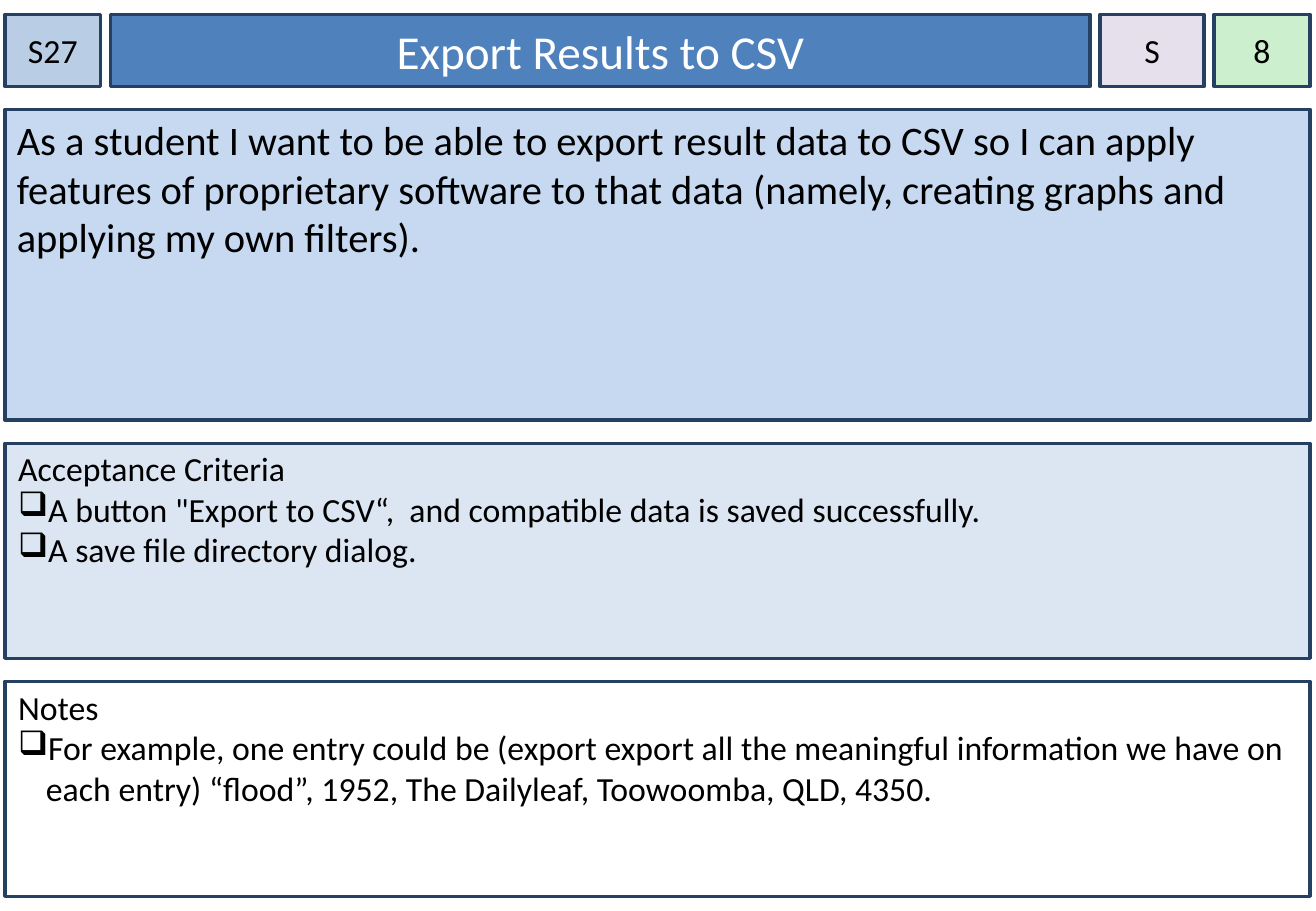
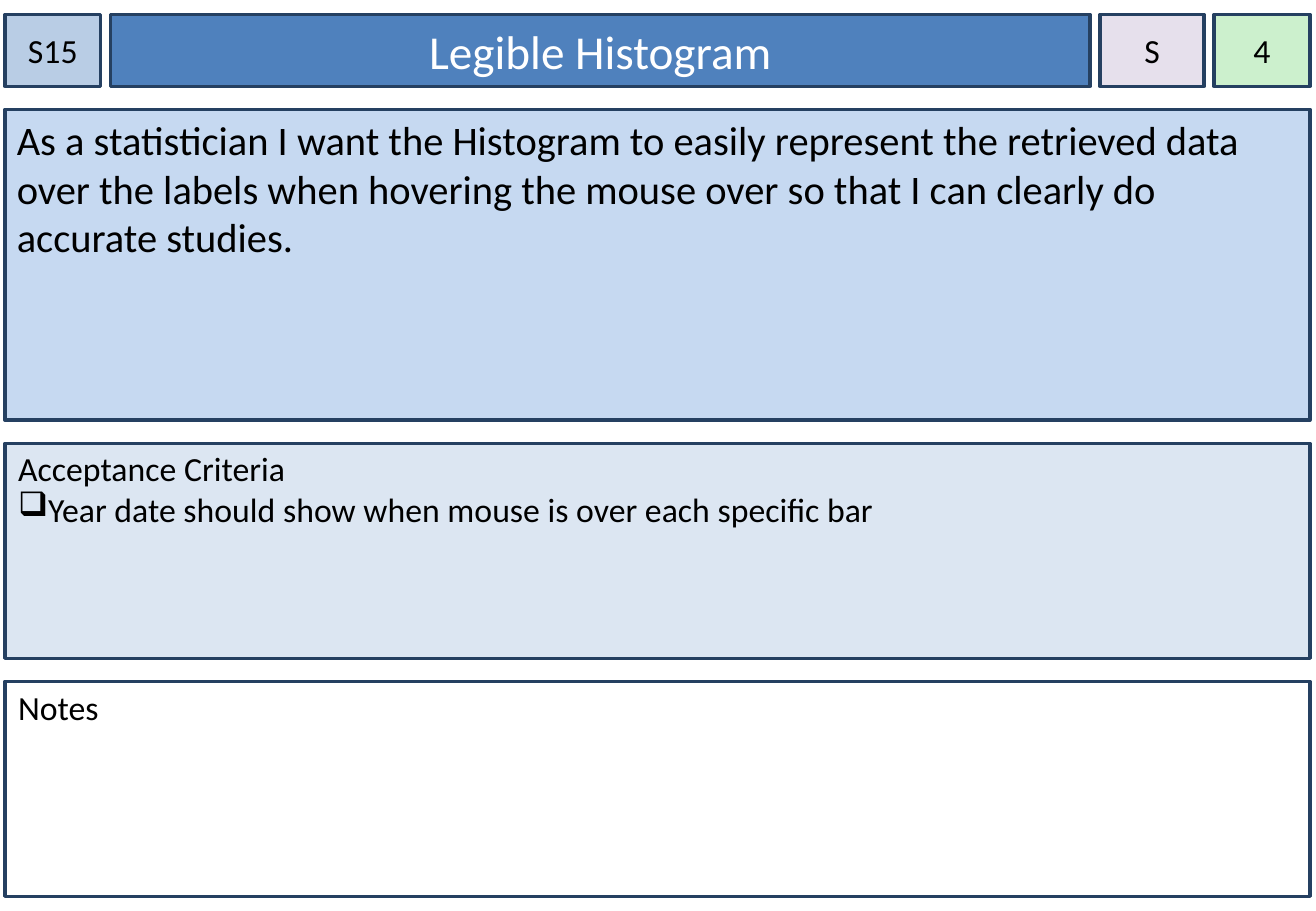
from lxml import etree
from pptx import Presentation
from pptx.dml.color import RGBColor
from pptx.enum.shapes import MSO_SHAPE
from pptx.enum.text import MSO_ANCHOR, PP_ALIGN
from pptx.oxml.ns import qn
from pptx.util import Inches, Pt

BLACK = RGBColor(0x00, 0x00, 0x00)
WHITE = RGBColor(0xFF, 0xFF, 0xFF)
NAVY = RGBColor(0x25, 0x40, 0x61)
BLUE = RGBColor(0x4F, 0x81, 0xBD)
STEEL = RGBColor(0xB9, 0xCD, 0xE5)
SKY = RGBColor(0xC6, 0xD9, 0xF1)
PALE = RGBColor(0xDC, 0xE6, 0xF2)
LILAC = RGBColor(0xE6, 0xE0, 0xEC)
MINT = RGBColor(0xCC, 0xF0, 0xCD)

# All measures in inches
LEFT, TOP = 0.04, 0.12
CARD_WIDTH = 10.75
COLUMN_GAP, ROW_GAP = 0.08, 0.19
HEADER_HEIGHT, STORY_HEIGHT, LIST_HEIGHT = 0.59, 2.56, 1.77

CARDS = [
    {
        "number": "S27",
        "title": "Export Results to CSV",
        "size": "S",
        "points": "8",
        "story": "As a student I want to be able to export result data to CSV so I can "
                 "apply features of proprietary software to that data (namely, creating "
                 "graphs and applying my own filters).",
        "criteria": [
            'A button "Export to CSV“,  and compatible data is saved successfully.',
            "A save file directory dialog.",
        ],
        "notes": [
            "For example, one entry could be (export export all the meaningful "
            "information we have on each entry) “flood”, 1952, The Dailyleaf, "
            "Toowoomba, QLD, 4350.",
        ],
    },
    {
        "number": "S15",
        "title": "Legible Histogram",
        "size": "S",
        "points": "4",
        "story": "As a statistician I want the Histogram to easily represent the "
                 "retrieved data over the labels when hovering the mouse over so that "
                 "I can clearly do accurate studies.",
        "criteria": ["Year date should show when mouse is over each specific bar"],
        "notes": [],
    },
]


class StoryDeck:
    font_name = "Calibri"

    def __init__(self):
        self.deck = Presentation()
        self.deck.slide_width = Inches(10.84)
        self.deck.slide_height = Inches(7.5)
        self.page = None

    def add_page(self):
        self.page = self.deck.slides.add_slide(self.deck.slide_layouts[6])

    def panel(self, left, top, width, height, fill, anchor, side_inset=0.1, top_inset=0.05):
        """Add an outlined rectangle and return its text frame."""
        box = self.page.shapes.add_shape(
            MSO_SHAPE.RECTANGLE, Inches(left), Inches(top), Inches(width), Inches(height))
        box.shadow.inherit = False
        box.fill.solid()
        box.fill.fore_color.rgb = fill
        box.line.color.rgb = NAVY
        box.line.width = Pt(2)
        frame = box.text_frame
        frame.word_wrap = True
        frame.vertical_anchor = anchor
        frame.margin_left = frame.margin_right = Inches(side_inset)
        frame.margin_top, frame.margin_bottom = Inches(top_inset), Inches(0.05)
        return frame

    def set_text(self, para, text, size, color=BLACK, align=PP_ALIGN.LEFT):
        para.text = text
        para.alignment = align
        para.font.name = self.font_name
        para.font.size = Pt(size)
        para.font.color.rgb = color

    def hang(self, para, bullet=None):
        """Give a paragraph a hanging indent and, if asked, a bullet."""
        properties = para._p.get_or_add_pPr()
        properties.set("marL", str(Inches(0.24)))
        properties.set("indent", str(Inches(-0.23)))
        if bullet:
            etree.SubElement(properties, qn("a:buChar")).set("char", bullet)

    def header(self, card):
        cells = [
            (card["number"], 0.79, STEEL, BLACK, 20, 0),
            (card["title"], 8.07, BLUE, WHITE, 28, 0.1),
            (card["size"], 0.86, LILAC, BLACK, 20, 0),
            (card["points"], 0.79, MINT, BLACK, 20, 0),
        ]
        left = LEFT
        for text, width, fill, color, size, inset in cells:
            frame = self.panel(left, TOP, width, HEADER_HEIGHT, fill, MSO_ANCHOR.MIDDLE, inset)
            self.set_text(frame.paragraphs[0], text, size, color, PP_ALIGN.CENTER)
            left += width + COLUMN_GAP

    def story(self, top, text):
        frame = self.panel(LEFT, top, CARD_WIDTH, STORY_HEIGHT, SKY, MSO_ANCHOR.TOP)
        self.set_text(frame.paragraphs[0], text, 24)

    def checklist(self, top, heading, items, fill):
        frame = self.panel(LEFT, top, CARD_WIDTH, LIST_HEIGHT, fill, MSO_ANCHOR.TOP,
                           top_inset=0.04)
        self.hang(frame.paragraphs[0])
        self.set_text(frame.paragraphs[0], heading, 20)
        for item in items:
            para = frame.add_paragraph()
            self.hang(para, "❑")
            self.set_text(para, item, 20)

    def card(self, card):
        story_top = TOP + HEADER_HEIGHT + ROW_GAP
        criteria_top = story_top + STORY_HEIGHT + ROW_GAP
        notes_top = criteria_top + LIST_HEIGHT + ROW_GAP
        self.add_page()
        self.header(card)
        self.story(story_top, card["story"])
        self.checklist(criteria_top, "Acceptance Criteria", card["criteria"], PALE)
        self.checklist(notes_top, "Notes", card["notes"], WHITE)


def main():
    stories = StoryDeck()
    for card in CARDS:
        stories.card(card)
    stories.deck.save("out.pptx")


if __name__ == "__main__":
    main()
